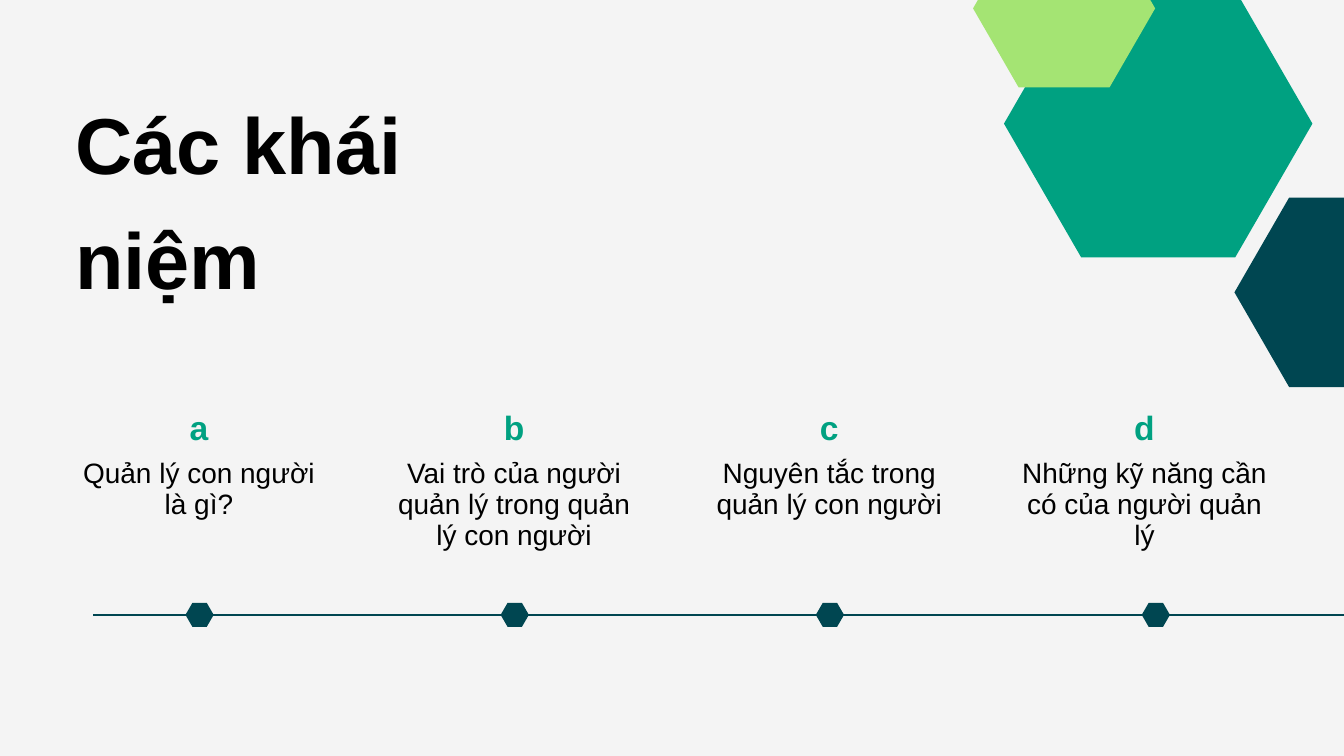
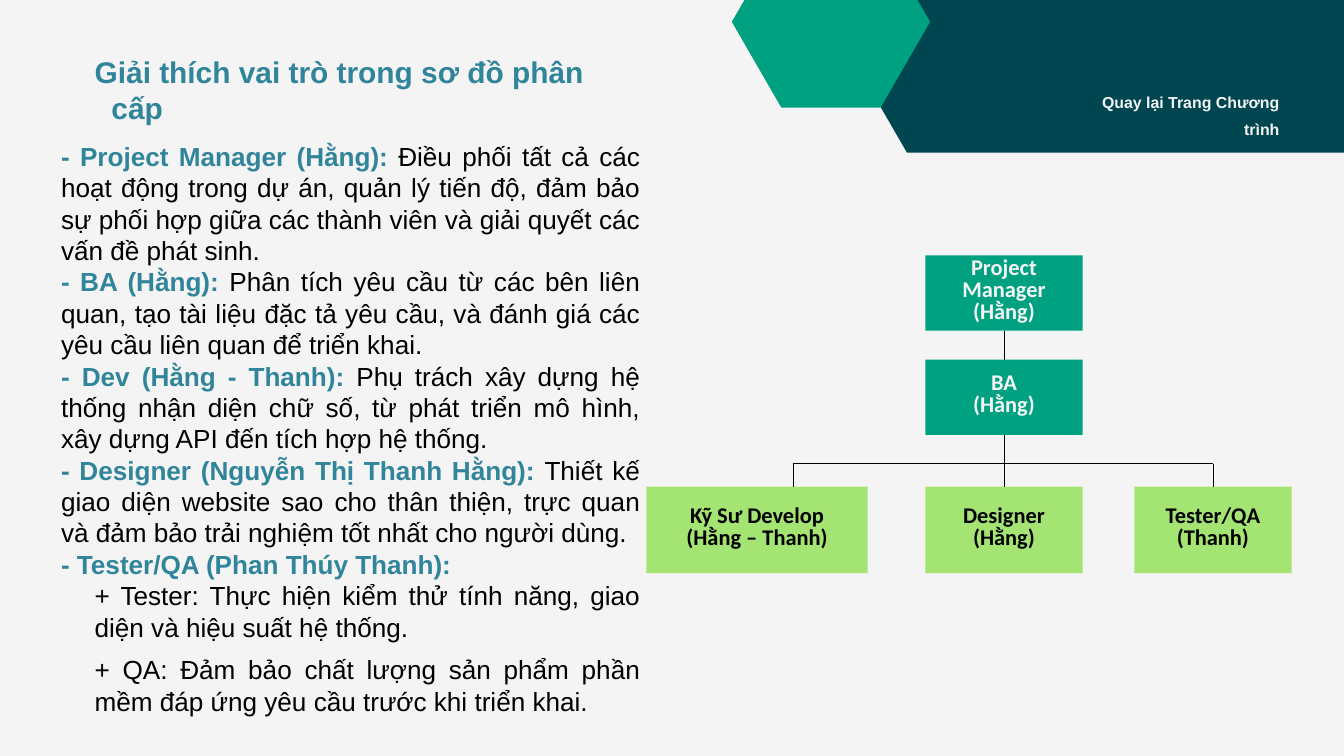
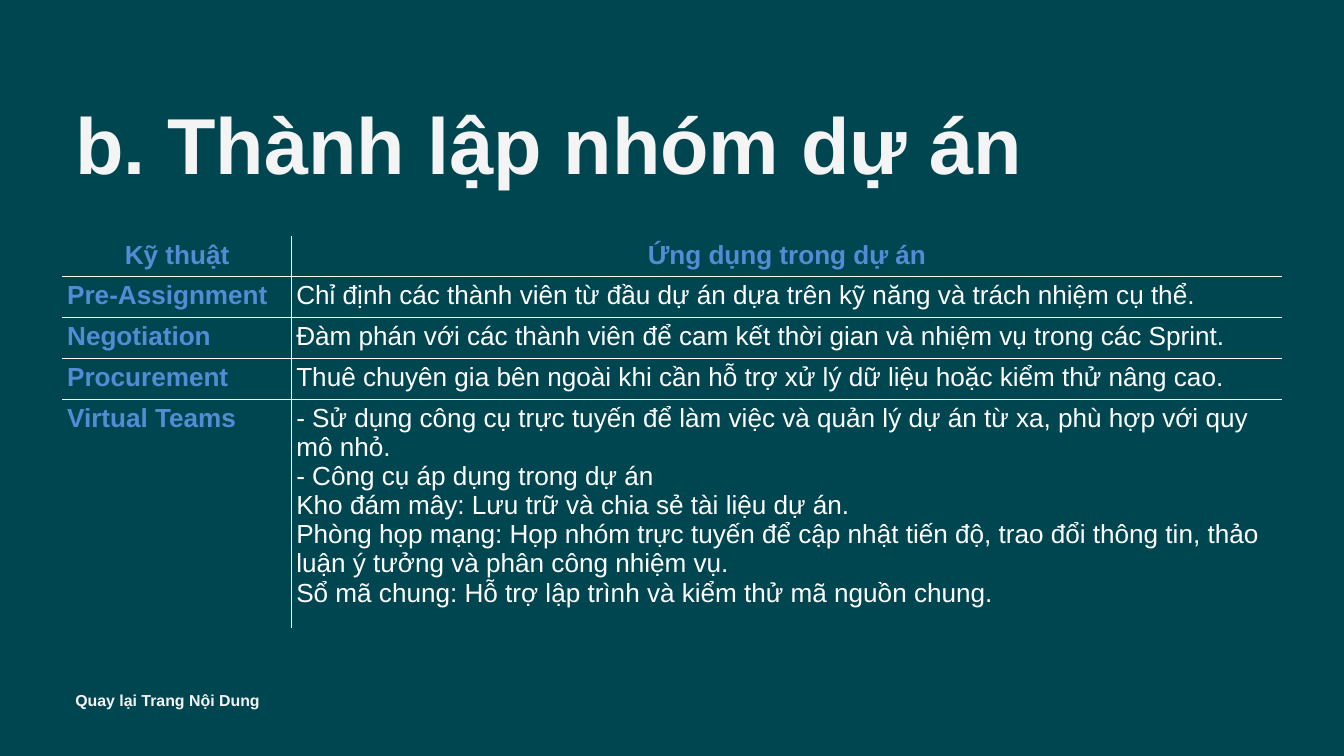
from math import sqrt

from lxml.etree import SubElement
from pptx import Presentation
from pptx.dml.color import RGBColor
from pptx.enum.shapes import MSO_CONNECTOR, MSO_SHAPE
from pptx.enum.text import MSO_ANCHOR, PP_ALIGN
from pptx.oxml.ns import qn
from pptx.util import Inches, Pt

COLORS = {
    "paper": "F4F4F4",
    "navy": "004651",
    "green": "00A181",
    "lime": "A4E473",
    "black": "000000",
    "white": "FFFFFF",
    "teal": "31859B",
    "blue": "538CD5",
}
MARGIN = 1.12

# Slide 1: letter, concept, centre of its dot on the timeline
CONCEPTS = [
    ("a", "Quản lý con người là gì?", 2.97),
    ("b", "Vai trò của người quản lý trong quản lý con người", 7.66),
    ("c", "Nguyên tắc trong quản lý con người", 12.35),
    ("d", "Những kỹ năng cần có của người quản lý", 17.2),
]
# Hexagons: left, top, width, height, colour
CONCEPT_HEXAGONS = [
    (18.37, 2.94, 3.26, 2.82, "navy"),
    (14.94, -0.15, 4.59, 3.98, "green"),
    (14.48, -1.05, 2.71, 2.35, "lime"),
]

# Slide 2
ROLE_HEXAGONS = [
    (11.53, -4.54, 10.74, 6.81, "navy"),
    (10.89, -0.95, 2.95, 2.55, "green"),
]
ROLES_HEADING = "Giải thích vai trò trong sơ đồ phân cấp"
ROLES = [
    ("- Project Manager (Hằng): ",
     "Điều phối tất cả các hoạt động trong dự án, quản lý tiến độ, đảm bảo "
     "sự phối hợp giữa các thành viên và giải quyết các vấn đề phát sinh."),
    ("- BA (Hằng): ",
     "Phân tích yêu cầu từ các bên liên quan, tạo tài liệu đặc tả yêu cầu, "
     "và đánh giá các yêu cầu liên quan để triển khai."),
    ("- Dev (Hằng - Thanh): ",
     "Phụ trách xây dựng hệ thống nhận diện chữ số, từ phát triển mô hình, "
     "xây dựng API đến tích hợp hệ thống."),
    ("- Designer (Nguyễn Thị Thanh Hằng): ",
     "Thiết kế giao diện website sao cho thân thiện, trực quan và đảm bảo "
     "trải nghiệm tốt nhất cho người dùng."),
    ("- Tester/QA (Phan Thúy Thanh):", ""),
]
TESTER_DUTIES = [
    "+ Tester: Thực hiện kiểm thử tính năng, giao diện và hiệu suất hệ thống.",
    "+ QA: Đảm bảo chất lượng sản phẩm phần mềm đáp ứng yêu cầu trước khi "
    "triển khai.",
]
# Organisation chart: lines of text, box, fill, text colour
ORG_BOXES = {
    "manager": ("Project\nManager\n(Hằng)", (13.77, 3.8, 2.34, 1.12), "green", "paper"),
    "analyst": ("BA\n(Hằng)", (13.77, 5.35, 2.34, 1.12), "green", "paper"),
    "developer": ("Kỹ Sư Develop\n(Hằng – Thanh)", (9.62, 7.24, 3.29, 1.29), "lime", "black"),
    "designer": ("Designer\n(Hằng)", (13.77, 7.24, 2.34, 1.29), "lime", "black"),
    "tester": ("Tester/QA\n(Thanh)", (16.88, 7.24, 2.34, 1.29), "lime", "black"),
}
BRANCH_Y, BRANCH_LEFT, BRANCH_RIGHT, TEAM_TOP = 6.9, 11.8, 18.05, 7.24

# Slide 3
TECHNIQUES = [
    ("Kỹ thuật", "Ứng dụng trong dự án"),
    ("Pre-Assignment",
     "Chỉ định các thành viên từ đầu dự án dựa trên kỹ năng và trách nhiệm cụ thể."),
    ("Negotiation",
     "Đàm phán với các thành viên để cam kết thời gian và nhiệm vụ trong các Sprint."),
    ("Procurement",
     "Thuê chuyên gia bên ngoài khi cần hỗ trợ xử lý dữ liệu hoặc kiểm thử nâng cao."),
    ("Virtual Teams",
     "- Sử dụng công cụ trực tuyến để làm việc và quản lý dự án từ xa, phù hợp "
     "với quy mô nhỏ.\v- Công cụ áp dụng trong dự án\n"
     "Kho đám mây: Lưu trữ và chia sẻ tài liệu dự án.\n"
     "Phòng họp mạng: Họp nhóm trực tuyến để cập nhật tiến độ, trao đổi thông "
     "tin, thảo luận ý tưởng và phân công nhiệm vụ.\n"
     "Sổ mã chung: Hỗ trợ lập trình và kiểm thử mã nguồn chung."),
]
COLUMN_WIDTHS = [3.41, 14.74]
ROW_HEIGHTS = [0.6, 0.6, 0.6, 0.6, 3.41]


def rgb(color):
    return RGBColor.from_string(COLORS[color])


def add_slide(deck, background):
    slide = deck.slides.add_slide(deck.slide_layouts[6])
    slide.background.fill.solid()
    slide.background.fill.fore_color.rgb = rgb(background)
    return slide


def style_run(run, size, color, bold=False, font="Arial"):
    run.font.name = font
    run.font.size = Pt(size)
    run.font.bold = bold
    run.font.color.rgb = rgb(color)


def write(frame, text, size, color, bold=False, align=PP_ALIGN.LEFT,
          spacing=None, font="Arial"):
    frame.word_wrap = True
    frame.text = text
    for paragraph in frame.paragraphs:
        paragraph.alignment = align
        paragraph.line_spacing = spacing
        for run in paragraph.runs:
            style_run(run, size, color, bold, font)


def set_margins(target, left, top, right, bottom):
    target.margin_left, target.margin_top = Inches(left), Inches(top)
    target.margin_right, target.margin_bottom = Inches(right), Inches(bottom)


def add_text_frame(slide, box, inset_x=0, inset_y=0):
    frame = slide.shapes.add_textbox(*map(Inches, box)).text_frame
    frame.word_wrap = True
    set_margins(frame, inset_x, inset_y, inset_x, inset_y)
    return frame


def add_title(slide, text, width, height, color):
    frame = add_text_frame(slide, (MARGIN, 1.14, width, height))
    write(frame, text, 85, color, bold=True, spacing=1.2)


def add_back_note(slide, text, box, align):
    write(add_text_frame(slide, box), text, 17, "paper", True, align, 1.4)


def paint(shape, color):
    shape.shadow.inherit = False
    shape.fill.solid()
    shape.fill.fore_color.rgb = rgb(color)
    shape.line.fill.background()


def add_hexagon(slide, left, top, width, height, color):
    """Hexagon with 60-degree sides, pointing left and right."""
    inset = height / (2 * sqrt(3))
    right, middle, bottom = left + width, top + height / 2, top + height
    corners = [(right, middle), (right - inset, bottom), (left + inset, bottom),
               (left, middle), (left + inset, top), (right - inset, top)]
    points = [(Inches(x), Inches(y)) for x, y in corners]
    builder = slide.shapes.build_freeform(*points[0])
    builder.add_line_segments(points[1:])
    paint(builder.convert_to_shape(), color)


def add_line(slide, start, end, color, width):
    line = slide.shapes.add_connector(
        MSO_CONNECTOR.STRAIGHT, *map(Inches, (*start, *end)))
    line.line.color.rgb = rgb(color)
    line.line.width = Pt(width)
    SubElement(line._element.spPr, qn("a:effectLst"))
    return line


def build_concepts(deck):
    slide = add_slide(deck, "paper")
    axis_y, dot_width, dot_height = 9.15, 0.42, 0.36
    add_line(slide, (1.39, axis_y), (20, axis_y), "navy", 1.5)
    for index, (letter, concept, dot_x) in enumerate(CONCEPTS):
        left = MARGIN + index * 4.69
        write(add_text_frame(slide, (left, 5.94, 3.68, 0.6)), letter,
              36, "green", True, PP_ALIGN.CENTER, 1.2)
        write(add_text_frame(slide, (left, 6.82, 3.68, 1.18)), concept,
              30, "black", False, PP_ALIGN.CENTER, 0.93)
        add_hexagon(slide, dot_x - dot_width / 2, axis_y - dot_height / 2,
                    dot_width, dot_height, "navy")
    add_title(slide, "Các khái niệm", 6.23, 2.79, "black")
    for hexagon in CONCEPT_HEXAGONS:
        add_hexagon(slide, *hexagon)


def add_org_chart(slide):
    boxes = {}
    for role, (text, box, fill, color) in ORG_BOXES.items():
        shape = slide.shapes.add_shape(MSO_SHAPE.RECTANGLE, *map(Inches, box))
        paint(shape, fill)
        frame = shape.text_frame
        frame.vertical_anchor = MSO_ANCHOR.MIDDLE
        set_margins(frame, 0.28, 0, 0.28, 0.06)
        write(frame, text, 24, color, True, PP_ALIGN.CENTER, 0.81, "Calibri")
        boxes[role] = shape

    for upper, lower in [("manager", "analyst"), ("analyst", "designer")]:
        link = add_line(slide, (0, 0), (1, 1), "black", 0.75)
        link.begin_connect(boxes[upper], 2)
        link.end_connect(boxes[lower], 0)
    add_line(slide, (BRANCH_LEFT, BRANCH_Y), (BRANCH_RIGHT, BRANCH_Y), "black", 0.75)
    add_line(slide, (BRANCH_LEFT, BRANCH_Y), (BRANCH_LEFT, TEAM_TOP), "black", 0.75)
    tester_link = add_line(slide, (BRANCH_RIGHT, BRANCH_Y), (BRANCH_RIGHT, TEAM_TOP),
                           "black", 0.75)
    tester_link.end_connect(boxes["tester"], 0)


def indent(paragraph, left, first_line):
    properties = paragraph._p.get_or_add_pPr()
    properties.set("marL", str(Inches(left)))
    properties.set("indent", str(Inches(first_line)))


def add_role_text(slide):
    frame = add_text_frame(slide, (0.81, 0.75, 8.81, 9.99), 0.1, 0.05)
    write(frame, ROLES_HEADING, 32, "teal", bold=True)
    indent(frame.paragraphs[0], 0.75, -0.25)
    for index, (role, duty) in enumerate(ROLES):
        paragraph = frame.add_paragraph()
        paragraph.text = role
        paragraph.alignment = PP_ALIGN.JUSTIFY
        paragraph.space_before = Pt(0 if index else 16)
        style_run(paragraph.runs[0], 28, "teal", bold=True)
        if duty:
            run = paragraph.add_run()
            run.text = duty
            style_run(run, 28, "black")
    for index, duty in enumerate(TESTER_DUTIES):
        paragraph = frame.add_paragraph()
        paragraph.text = duty
        paragraph.level = 1
        paragraph.alignment = PP_ALIGN.JUSTIFY
        paragraph.space_before = Pt(12 * index)
        indent(paragraph, 0.5, 0)
        style_run(paragraph.runs[0], 28, "black")


def build_roles(deck):
    slide = add_slide(deck, "paper")
    for hexagon in ROLE_HEXAGONS:
        add_hexagon(slide, *hexagon)
    add_back_note(slide, "Quay lại Trang Chương trình",
                  (15.82, 1.27, 3.22, 0.31), PP_ALIGN.RIGHT)
    add_org_chart(slide)
    add_role_text(slide)


def set_borders(cell, sides):
    """Draw a white line on the sides given as True and none on the others."""
    properties = cell._tc.get_or_add_tcPr()
    for position, (side, shown) in enumerate(sides.items()):
        border = properties.makeelement(qn(f"a:ln{side}"), {"w": str(Pt(1))})
        if shown:
            fill = SubElement(border, qn("a:solidFill"))
            SubElement(fill, qn("a:srgbClr"), val=COLORS["white"])
        else:
            SubElement(border, qn("a:noFill"))
        properties.insert(position, border)


def build_techniques(deck):
    slide = add_slide(deck, "navy")
    add_title(slide, "b. Thành lập nhóm dự án", 14.96, 1.36, "paper")
    add_back_note(slide, "Quay lại Trang Nội Dung",
                  (MARGIN, 10.16, 5.72, 0.31), PP_ALIGN.LEFT)
    last_row, last_column = len(TECHNIQUES) - 1, len(COLUMN_WIDTHS) - 1
    table = slide.shapes.add_table(
        len(TECHNIQUES), len(COLUMN_WIDTHS), Inches(0.93), Inches(3.51),
        Inches(sum(COLUMN_WIDTHS)), Inches(sum(ROW_HEIGHTS))).table
    table.first_row = table.horz_banding = False
    for column, width in zip(table.columns, COLUMN_WIDTHS):
        column.width = Inches(width)
    for r, (technique, height) in enumerate(zip(TECHNIQUES, ROW_HEIGHTS)):
        table.rows[r].height = Inches(height)
        for c, text in enumerate(technique):
            cell = table.cell(r, c)
            cell.fill.background()
            set_margins(cell, 0.07, 0.07, 0.07, 0.07)
            is_heading = r == 0 or c == 0
            write(cell.text_frame, text, 28, "blue" if is_heading else "white",
                  is_heading, PP_ALIGN.LEFT if r else PP_ALIGN.CENTER)
            set_borders(cell, {"L": c > 0, "R": c < last_column,
                               "T": r > 0, "B": r < last_row})


def main():
    deck = Presentation()
    deck.slide_width, deck.slide_height = Inches(20), Inches(11.25)
    build_concepts(deck)
    build_roles(deck)
    build_techniques(deck)
    deck.save("out.pptx")


if __name__ == "__main__":
    main()
